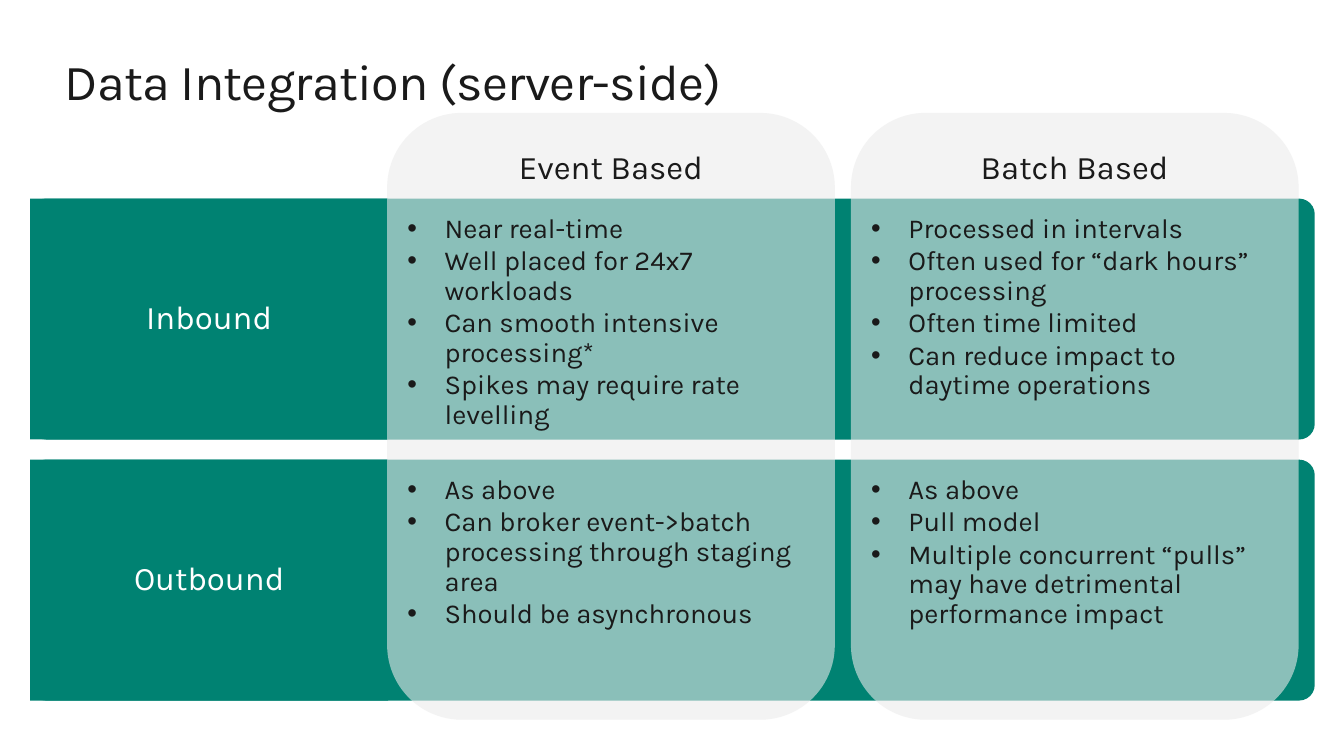
from lxml.etree import SubElement
from pptx import Presentation
from pptx.dml.color import RGBColor
from pptx.enum.shapes import MSO_SHAPE
from pptx.enum.text import MSO_ANCHOR, MSO_AUTO_SIZE, PP_ALIGN
from pptx.oxml.ns import qn
from pptx.util import Inches, Pt

TEAL = RGBColor(0x00, 0x82, 0x72)
PALE_GREY = RGBColor(0xEB, 0xEB, 0xEB)
INK = RGBColor(0x1A, 0x1A, 0x1A)
WHITE = RGBColor(0xFF, 0xFF, 0xFF)

FONT = "Karla"
HEADING_SIZE = 23.5
BULLET_SIZE = 19.6
BULLET_INDENT = Inches(0.37)

BAND_LEFT, BAND_WIDTH, LABEL_WIDTH = 0.3, 12.74, 3.55
ROW_TOP, ROW_HEIGHT, ROW_PITCH = 1.97, 2.39, 2.59
COLUMN_LEFT, COLUMN_WIDTH, COLUMN_PITCH = 3.84, 4.44, 4.6
COLUMN_TOP, COLUMN_HEIGHT = 1.12, 6.02

DIRECTIONS = ["Inbound", "Outbound"]
STYLES = ["Event Based", "Batch Based"]
TRAITS = [
    [
        ["Near real-time", "Well placed for 24x7 workloads",
         "Can smooth intensive processing*", "Spikes may require rate levelling"],
        ["Processed in intervals", "Often used for “dark hours” processing",
         "Often time limited", "Can reduce impact to daytime operations"],
    ],
    [
        ["As above", "Can broker event->batch processing through staging area",
         "Should be asynchronous"],
        ["As above", "Pull model",
         "Multiple concurrent “pulls” may have detrimental performance impact"],
    ],
]


def row_top(row):
    return ROW_TOP + row * ROW_PITCH


def column_left(column):
    return COLUMN_LEFT + column * COLUMN_PITCH


def box(*lengths):
    return [Inches(length) for length in lengths]


def format_runs(paragraph, size, color):
    for run in paragraph.runs:
        run.font.name = FONT
        run.font.size = Pt(size)
        run.font.color.rgb = color


def set_frame(frame, anchor, inset_x=0.2, inset_y=0.16):
    frame.word_wrap = True
    frame.vertical_anchor = anchor
    frame.margin_left = frame.margin_right = Inches(inset_x)
    frame.margin_top = frame.margin_bottom = Inches(inset_y)


def add_panel(slide, preset, bounds, color):
    panel = slide.shapes.add_shape(preset, *box(*bounds))
    panel.shadow.inherit = False
    panel.fill.solid()
    panel.fill.fore_color.rgb = color
    panel.line.fill.background()
    return panel


def add_heading(panel, words, color, anchor):
    set_frame(panel.text_frame, anchor)
    panel.text_frame.text = words
    heading = panel.text_frame.paragraphs[0]
    heading.alignment = PP_ALIGN.CENTER
    heading.line_spacing = 0.9
    format_runs(heading, HEADING_SIZE, color)


def add_direction_band(slide, row, direction):
    top = row_top(row)
    band = add_panel(slide, MSO_SHAPE.ROUNDED_RECTANGLE,
                     (BAND_LEFT, top, BAND_WIDTH, ROW_HEIGHT), TEAL)
    band.adjustments[0] = 0.065
    label = add_panel(slide, MSO_SHAPE.RECTANGLE,
                      (BAND_LEFT, top, LABEL_WIDTH, ROW_HEIGHT), TEAL)
    add_heading(label, direction, WHITE, MSO_ANCHOR.MIDDLE)
    label.text_frame.paragraphs[0].space_after = Pt(5.9)


def add_style_column(slide, column, style):
    panel = add_panel(slide, MSO_SHAPE.FLOWCHART_ALTERNATE_PROCESS,
                      (column_left(column), COLUMN_TOP, COLUMN_WIDTH, COLUMN_HEIGHT),
                      PALE_GREY)
    tint = panel.fill._xPr.find(qn("a:solidFill"))[0]
    SubElement(tint, qn("a:alpha"), val="59000")
    add_heading(panel, style, INK, MSO_ANCHOR.TOP)


def add_trait_list(slide, row, column, traits):
    bounds = (column_left(column), row_top(row), COLUMN_WIDTH, ROW_HEIGHT)
    frame = slide.shapes.add_textbox(*box(*bounds)).text_frame
    set_frame(frame, MSO_ANCHOR.TOP)
    frame.text = "\n".join(traits)
    for trait in frame.paragraphs:
        trait.line_spacing = 0.9
        trait.space_before = Pt(2)
        properties = trait._p.get_or_add_pPr()
        properties.set("marL", str(BULLET_INDENT))
        properties.set("indent", str(-BULLET_INDENT))
        SubElement(properties, qn("a:buFont"), typeface="Arial")
        SubElement(properties, qn("a:buChar"), char="•")
        format_runs(trait, BULLET_SIZE, INK)


def add_title(slide, words):
    frame = slide.shapes.add_textbox(*box(0.64, 0.5, 12.05, 0.61)).text_frame
    set_frame(frame, MSO_ANCHOR.TOP, 0, 0)
    frame.auto_size = MSO_AUTO_SIZE.SHAPE_TO_FIT_TEXT
    frame.text = words
    title = frame.paragraphs[0]
    format_runs(title, 36, INK)
    title.runs[0].font._element.set("spc", "-50")


def main():
    deck = Presentation()
    deck.slide_width, deck.slide_height = box(13.33, 7.5)
    slide = deck.slides.add_slide(deck.slide_layouts[6])
    for row, direction in enumerate(DIRECTIONS):
        add_direction_band(slide, row, direction)
    for column, style in enumerate(STYLES):
        add_style_column(slide, column, style)
    for row, cells in enumerate(TRAITS):
        for column, traits in enumerate(cells):
            add_trait_list(slide, row, column, traits)
    add_title(slide, "Data Integration (server-side)")
    deck.save("out.pptx")


if __name__ == "__main__":
    main()
